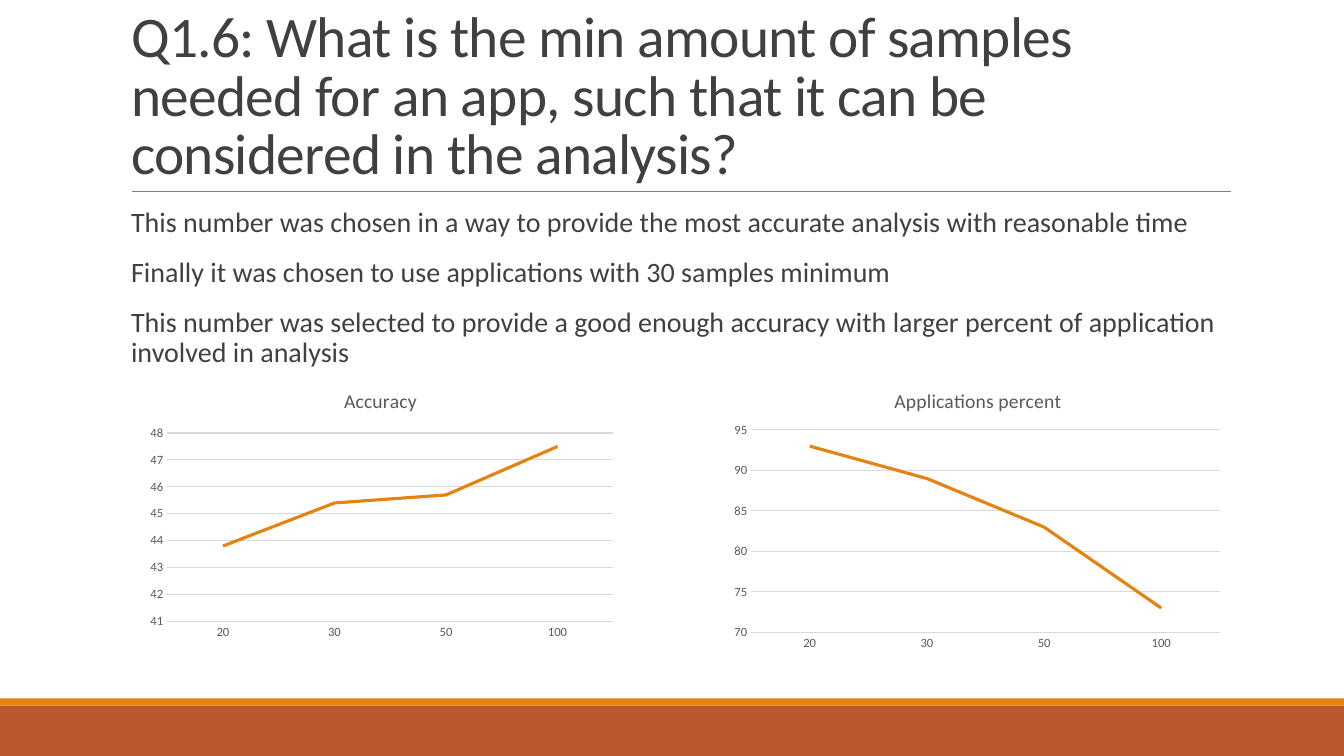
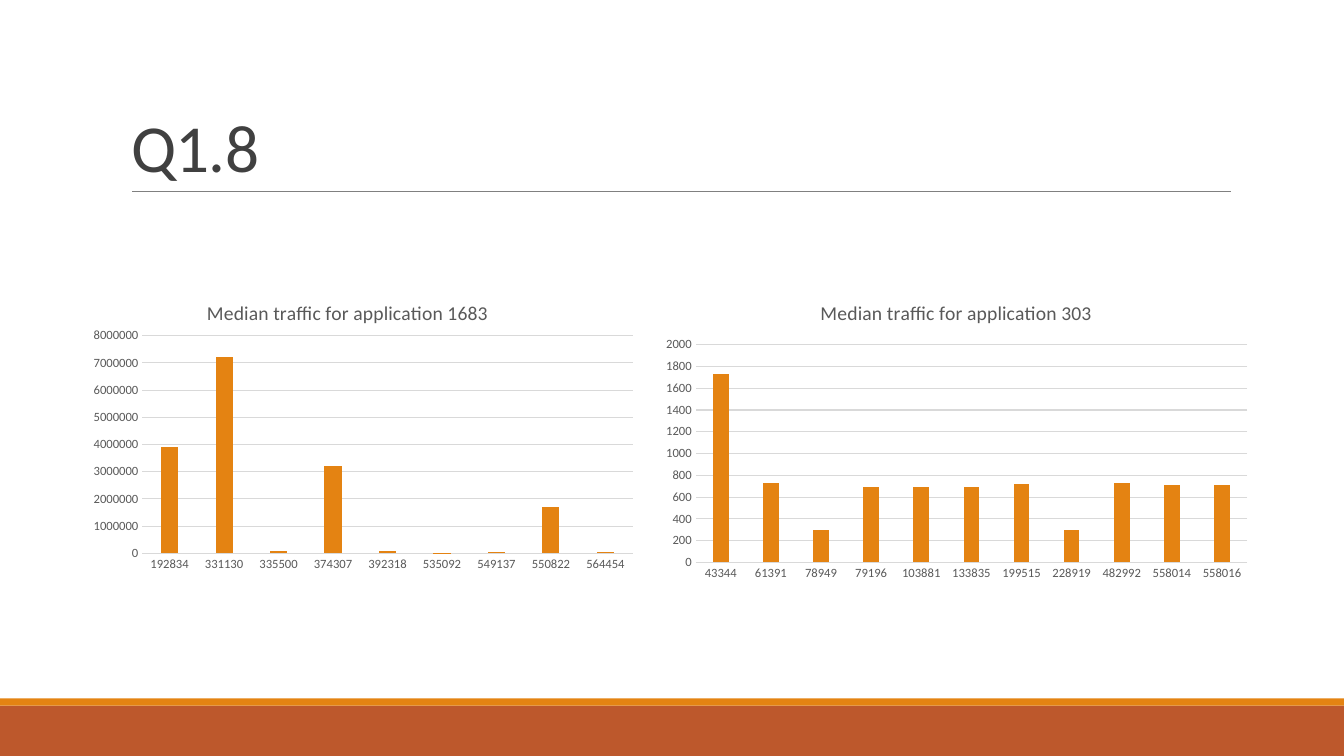
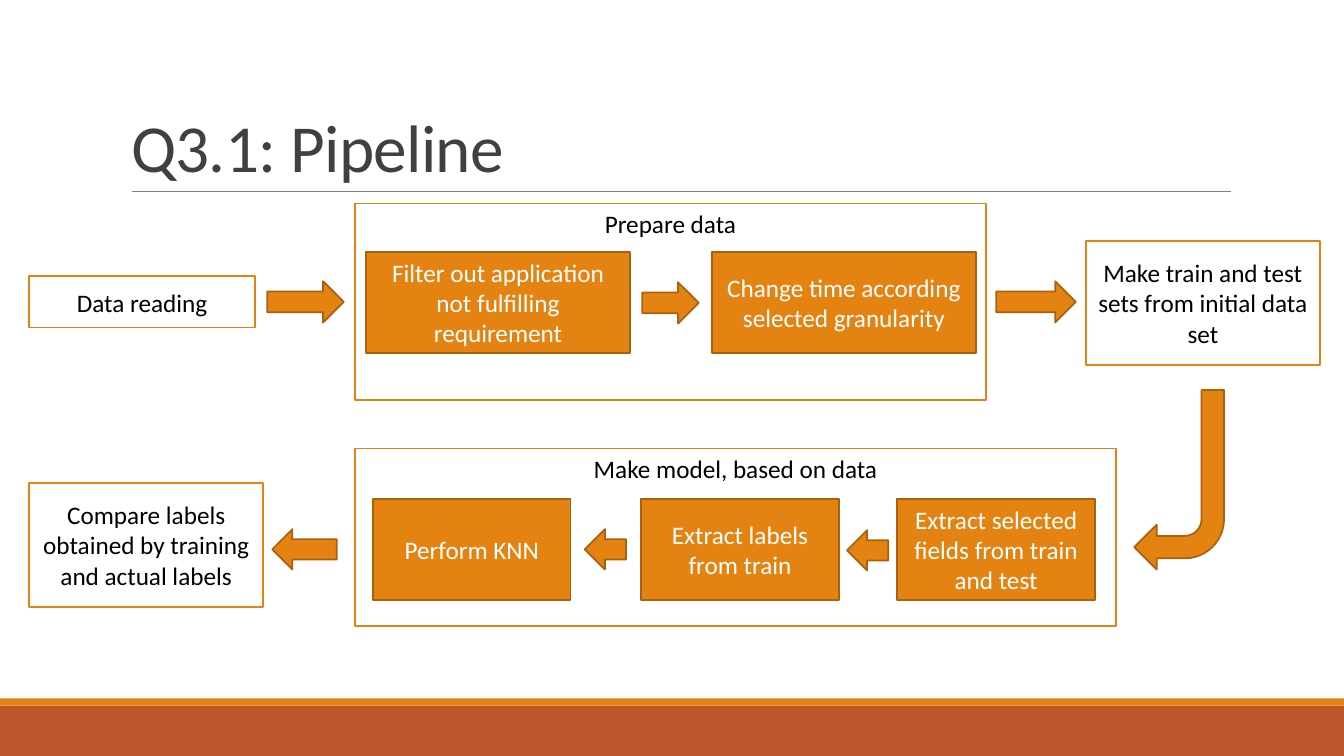
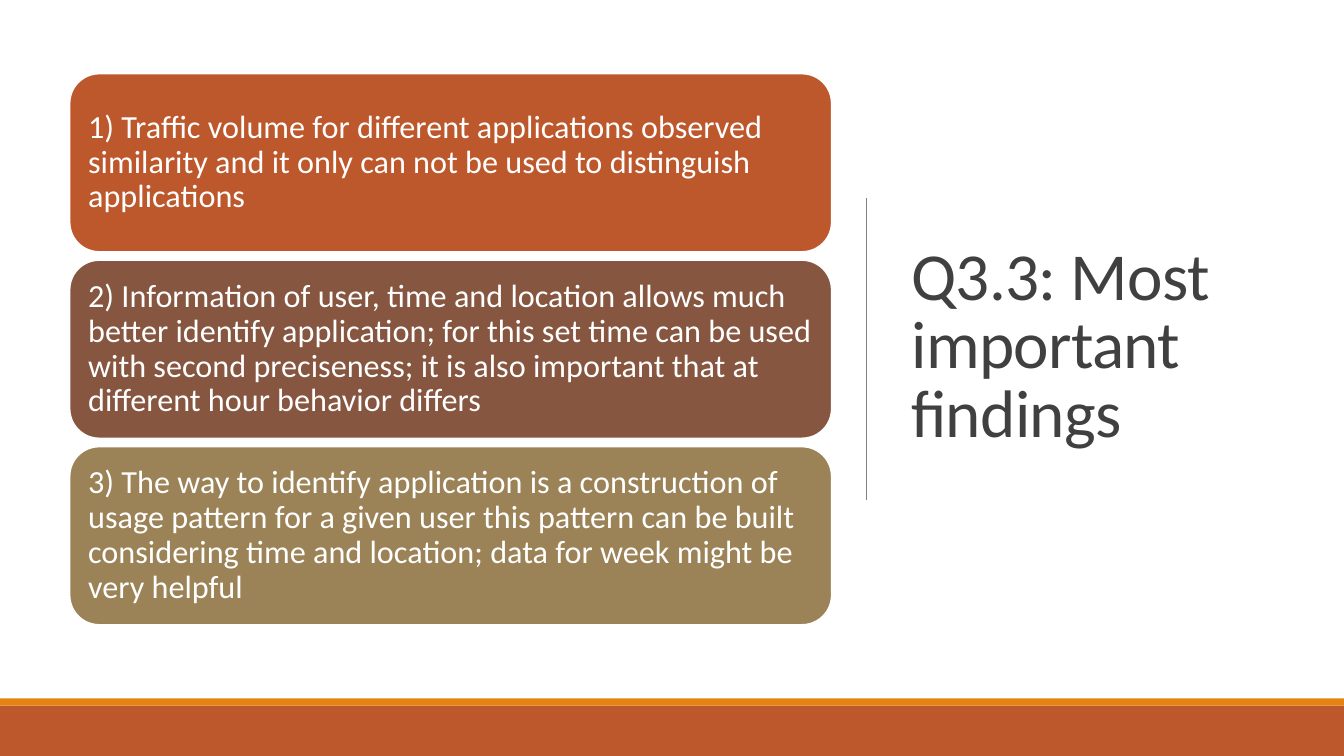
from dataclasses import dataclass

from pptx import Presentation
from pptx.chart.data import CategoryChartData
from pptx.dml.color import RGBColor
from pptx.enum.chart import XL_CHART_TYPE, XL_TICK_MARK
from pptx.enum.shapes import MSO_CONNECTOR, MSO_SHAPE
from pptx.enum.text import MSO_ANCHOR, MSO_AUTO_SIZE, PP_ALIGN
from pptx.oxml import parse_xml
from pptx.oxml.ns import nsdecls
from pptx.oxml.xmlchemy import OxmlElement
from pptx.presentation import Presentation as Deck
from pptx.shapes.autoshape import Shape
from pptx.slide import Slide
from pptx.text.text import Font
from pptx.util import Inches, Pt


@dataclass(frozen=True)
class Theme:
    font: str = "Calibri"
    orange: str = "E48312"
    dark_orange: str = "A9610D"
    rust: str = "BD582C"
    brown: str = "865640"
    olive: str = "9B8357"
    rule: str = "808080"
    ink: str = "404040"
    chart_ink: str = "595959"
    grid: str = "D9D9D9"
    white: str = "FFFFFF"
    black: str = "000000"
    title_size: float = 48
    long_title_size: float = 41
    finding_size: float = 23
    body_size: float = 20
    step_size: float = 18
    chart_title_size: float = 14
    axis_size: float = 9


THEME = Theme()
TITLE_ONLY, TITLE_AND_BODY = 5, 1


@dataclass(frozen=True)
class Area:
    """A rectangle in inches."""
    left: float
    top: float
    width: float
    height: float

    def lengths(self) -> tuple[Inches, Inches, Inches, Inches]:
        return Inches(self.left), Inches(self.top), Inches(self.width), Inches(self.height)


@dataclass(frozen=True)
class Look:
    fill: str
    line: str | None
    ink: str = THEME.white
    anchor: MSO_ANCHOR = MSO_ANCHOR.MIDDLE


STAGE = Look(THEME.white, THEME.orange, THEME.black)
GROUP = Look(THEME.white, THEME.orange, THEME.black, MSO_ANCHOR.TOP)
STEP = Look(THEME.orange, THEME.dark_orange)


@dataclass(frozen=True)
class PipelineBox:
    text: str
    area: Area
    look: Look


@dataclass(frozen=True)
class Arrow:
    kind: MSO_SHAPE
    area: Area
    rotation: float = 0


@dataclass(frozen=True)
class ChartSpec:
    """A one-series chart; plot holds fractions of the chart area."""
    title: str
    kind: XL_CHART_TYPE
    area: Area
    plot: Area
    points: dict[str, float]
    low: float
    high: float
    unit: float


HEADER_TITLE = Area(1.2, 0.31, 11, 1.59)
SIDE_TITLE = Area(8.94, 0.69, 3.69, 5.53)
BODY = Area(1.2, 2.02, 11, 4.4)

SAMPLE_NOTES = (
    "This number was chosen in a way to provide the most accurate analysis with reasonable time",
    "Finally it was chosen to use applications with 30 samples minimum",
    "This number was selected to provide a good enough accuracy with larger percent of "
    "application involved in analysis",
)

SAMPLE_CHARTS = (
    ChartSpec("Accuracy", XL_CHART_TYPE.LINE,
              Area(1.37, 3.7, 4.81, 2.71), Area(0.06, 0.22, 0.92, 0.69),
              {"20": 43.8, "30": 45.4, "50": 45.7, "100": 47.5}, 41, 48, 1),
    ChartSpec("Applications percent", XL_CHART_TYPE.LINE,
              Area(7.2, 3.7, 5, 2.83), Area(0.05, 0.2, 0.93, 0.71),
              {"20": 93, "30": 89, "50": 83, "100": 73}, 70, 95, 5),
)

TRAFFIC_CHARTS = (
    ChartSpec("Median traffic for application 1683", XL_CHART_TYPE.COLUMN_CLUSTERED,
              Area(0.62, 2.82, 5.66, 3), Area(0.14, 0.17, 0.86, 0.72),
              {"192834": 3900000, "331130": 7200000, "335500": 80000, "374307": 3200000,
               "392318": 80000, "535092": 10000, "549137": 50000, "550822": 1700000,
               "564454": 50000}, 0, 8000000, 1000000),
    ChartSpec("Median traffic for application 303", XL_CHART_TYPE.COLUMN_CLUSTERED,
              Area(6.48, 2.82, 6.01, 3), Area(0.07, 0.2, 0.91, 0.72),
              {"43344": 1730, "61391": 730, "78949": 300, "79196": 690, "103881": 690,
               "133835": 690, "199515": 720, "228919": 300, "482992": 730,
               "558014": 710, "558016": 710}, 0, 2000, 200),
)

PIPELINE = (
    PipelineBox("Data reading", Area(0.29, 2.74, 2.24, 0.51), STAGE),
    PipelineBox("Prepare data", Area(3.52, 2.02, 6.26, 1.95), GROUP),
    PipelineBox("Filter out application not fulfilling requirement",
                Area(3.63, 2.5, 2.62, 1), STEP),
    PipelineBox("Change time according selected granularity",
                Area(7.06, 2.5, 2.62, 1), STEP),
    PipelineBox("Make train and test sets from initial data set",
                Area(10.77, 2.39, 2.32, 1.23), STAGE),
    PipelineBox("Make model, based on data", Area(3.52, 4.45, 7.55, 1.76), GROUP),
    PipelineBox("Extract selected fields from train and test",
                Area(8.9, 4.95, 1.96, 1), STEP),
    PipelineBox("Extract labels from train", Area(6.36, 4.95, 1.96, 1), STEP),
    PipelineBox("Perform KNN", Area(3.7, 4.95, 1.96, 1), STEP),
    PipelineBox("Compare labels obtained by training and actual labels",
                Area(0.29, 4.79, 2.32, 1.23), STAGE),
)

PIPELINE_ARROWS = (
    Arrow(MSO_SHAPE.RIGHT_ARROW, Area(2.65, 2.79, 0.76, 0.41)),
    Arrow(MSO_SHAPE.RIGHT_ARROW, Area(6.37, 2.8, 0.56, 0.41)),
    Arrow(MSO_SHAPE.RIGHT_ARROW, Area(9.88, 2.79, 0.79, 0.41)),
    Arrow(MSO_SHAPE.BENT_ARROW, Area(11.25, 3.87, 0.89, 1.78), 180),
    Arrow(MSO_SHAPE.LEFT_ARROW, Area(8.4, 5.26, 0.41, 0.4)),
    Arrow(MSO_SHAPE.LEFT_ARROW, Area(5.8, 5.25, 0.41, 0.4)),
    Arrow(MSO_SHAPE.LEFT_ARROW, Area(2.7, 5.25, 0.64, 0.4)),
)

FINDINGS = (
    (THEME.rust, "1) Traffic volume for different applications observed similarity and it only "
                 "can not be used to distinguish applications"),
    (THEME.brown, "2) Information of user, time and location allows much better identify "
                  "application; for this set time can be used with second preciseness; it is "
                  "also important that at different hour behavior differs"),
    (THEME.olive, "3) The way to identify application is a construction of usage pattern for a "
                  "given user this pattern can be built considering time and location; data for "
                  "week might be very helpful"),
)
FIRST_FINDING = Area(0.69, 0.73, 7.56, 1.77)
FINDING_GAP = 0.08


def rgb(color: str) -> RGBColor:
    return RGBColor.from_string(color)


def set_font(font: Font, size: float, color: str) -> None:
    font.name = THEME.font
    font.size = Pt(size)
    font.bold = False
    font.color.rgb = rgb(color)


def place(shape: Shape, area: Area) -> None:
    shape.left, shape.top, shape.width, shape.height = area.lengths()


def add_preset(slide: Slide, kind: MSO_SHAPE, area: Area, look: Look) -> Shape:
    shape = slide.shapes.add_shape(kind, *area.lengths())
    shape.shadow.inherit = False
    shape.fill.solid()
    shape.fill.fore_color.rgb = rgb(look.fill)
    if look.line:
        shape.line.color.rgb = rgb(look.line)
        shape.line.width = Pt(1.25)
    else:
        shape.line.fill.background()
    return shape


def write_in(shape: Shape, text: str, size: float, look: Look, align: PP_ALIGN) -> None:
    frame = shape.text_frame
    frame.word_wrap = True
    frame.vertical_anchor = look.anchor
    paragraph = frame.paragraphs[0]
    paragraph.alignment = align
    run = paragraph.add_run()
    run.text = text
    set_font(run.font, size, look.ink)


def add_rule(slide: Slide, left: float, top: float, right: float, bottom: float) -> None:
    rule = slide.shapes.add_connector(MSO_CONNECTOR.STRAIGHT, Inches(left), Inches(top),
                                      Inches(right), Inches(bottom))
    rule.line.color.rgb = rgb(THEME.rule)
    rule.line.width = Pt(0.5)
    rule._element.spPr.append(OxmlElement("a:effectLst"))


def set_title(slide: Slide, text: str, area: Area, size: float, anchor: MSO_ANCHOR) -> None:
    title = slide.shapes.title
    place(title, area)
    write_in(title, text, size, Look(THEME.white, None, THEME.ink, anchor), PP_ALIGN.LEFT)
    title.text_frame.auto_size = MSO_AUTO_SIZE.NONE
    paragraph = title.text_frame.paragraphs[0]
    paragraph.line_spacing = 0.85
    paragraph.runs[0].font._element.set("spc", "-50")


def new_slide(deck: Deck, layout: int) -> Slide:
    """Add a slide with the two bands along its foot."""
    slide = deck.slides.add_slide(deck.slide_layouts[layout])
    for area, color in ((Area(0, 7, 13.33, 0.5), THEME.rust),
                        (Area(0, 6.93, 13.33, 0.07), THEME.orange)):
        add_preset(slide, MSO_SHAPE.RECTANGLE, area, Look(color, None))
    return slide


def headed_slide(deck: Deck, title: str, layout: int = TITLE_ONLY,
                 size: float = THEME.title_size) -> Slide:
    """Add a slide with its title above a horizontal rule."""
    slide = new_slide(deck, layout)
    add_rule(slide, 1.31, 1.9, 12.21, 1.9)
    set_title(slide, title, HEADER_TITLE, size, MSO_ANCHOR.BOTTOM)
    return slide


def fill_body(slide: Slide, lines: tuple[str, ...]) -> None:
    body = slide.placeholders[1]
    place(body, BODY)
    frame = body.text_frame
    frame.auto_size = MSO_AUTO_SIZE.NONE
    frame.margin_left = frame.margin_right = 0
    for index, line in enumerate(lines):
        paragraph = frame.add_paragraph() if index else frame.paragraphs[0]
        properties = paragraph._p.get_or_add_pPr()
        properties.set("marL", str(Inches(0.1)))
        properties.set("indent", "0")
        properties.append(OxmlElement("a:buNone"))
        paragraph.line_spacing = 0.9
        paragraph.space_before = Pt(12 if index else 0)
        paragraph.space_after = Pt(2)
        run = paragraph.add_run()
        run.text = line
        set_font(run.font, THEME.body_size, THEME.ink)


def add_chart(slide: Slide, spec: ChartSpec) -> None:
    data = CategoryChartData()
    data.categories = list(spec.points)
    data.add_series(spec.title, list(spec.points.values()))
    chart = slide.shapes.add_chart(spec.kind, *spec.area.lengths(), data).chart
    set_font(chart.font, THEME.axis_size, THEME.chart_ink)
    chart.has_legend = False
    chart.has_title = True
    chart.chart_title.include_in_layout = False
    run = chart.chart_title.text_frame.paragraphs[0].add_run()
    run.text = spec.title
    set_font(run.font, THEME.chart_title_size, THEME.chart_ink)

    for axis in (chart.category_axis, chart.value_axis):
        axis.major_tick_mark = axis.minor_tick_mark = XL_TICK_MARK.NONE
        set_font(axis.tick_labels.font, THEME.axis_size, THEME.chart_ink)
    values = chart.value_axis
    values.minimum_scale, values.maximum_scale = spec.low, spec.high
    values.major_unit = spec.unit
    values.format.line.fill.background()
    for line in (chart.category_axis.format.line, values.major_gridlines.format.line):
        line.color.rgb = rgb(THEME.grid)
        line.width = Pt(0.75)

    plot = chart.plots[0]
    plot.vary_by_categories = False
    series = plot.series[0]
    if spec.kind == XL_CHART_TYPE.LINE:
        series.smooth = False
        series.format.line.color.rgb = rgb(THEME.orange)
        series.format.line.width = Pt(2.25)
    else:
        plot.gap_width, plot.overlap = 219, -27
        series.format.fill.solid()
        series.format.fill.fore_color.rgb = rgb(THEME.orange)
    place_plot(chart._chartSpace.xpath(".//c:plotArea")[0], spec.plot)


def place_plot(plot_area, area: Area) -> None:
    """Fix the inner plot area within its chart."""
    for automatic in plot_area.xpath("./c:layout"):
        plot_area.remove(automatic)
    plot_area.insert(0, parse_xml(
        f'<c:layout {nsdecls("c")}><c:manualLayout><c:layoutTarget val="inner"/>'
        '<c:xMode val="edge"/><c:yMode val="edge"/>'
        f'<c:x val="{area.left}"/><c:y val="{area.top}"/>'
        f'<c:w val="{area.width}"/><c:h val="{area.height}"/>'
        '</c:manualLayout></c:layout>'))


def samples_slide(deck: Deck) -> None:
    slide = headed_slide(deck, "Q1.6: What is the min amount of samples needed for an app, "
                               "such that it can be considered in the analysis?",
                         TITLE_AND_BODY, THEME.long_title_size)
    fill_body(slide, SAMPLE_NOTES)
    for spec in SAMPLE_CHARTS:
        add_chart(slide, spec)


def traffic_slide(deck: Deck) -> None:
    slide = headed_slide(deck, "Q1.8")
    for spec in TRAFFIC_CHARTS:
        add_chart(slide, spec)


def pipeline_slide(deck: Deck) -> None:
    slide = headed_slide(deck, "Q3.1: Pipeline")
    for box in PIPELINE:
        shape = add_preset(slide, MSO_SHAPE.RECTANGLE, box.area, box.look)
        write_in(shape, box.text, THEME.step_size, box.look, PP_ALIGN.CENTER)
    for arrow in PIPELINE_ARROWS:
        add_preset(slide, arrow.kind, arrow.area, STEP).rotation = arrow.rotation


def findings_slide(deck: Deck) -> None:
    slide = new_slide(deck, TITLE_ONLY)
    add_rule(slide, 8.59, 1.96, 8.59, 4.96)
    set_title(slide, "Q3.3: Most important findings", SIDE_TITLE, THEME.title_size,
              MSO_ANCHOR.MIDDLE)
    first = FIRST_FINDING
    for index, (color, finding) in enumerate(FINDINGS):
        top = first.top + index * (first.height + FINDING_GAP)
        look = Look(color, THEME.white)
        card = add_preset(slide, MSO_SHAPE.ROUNDED_RECTANGLE,
                          Area(first.left, top, first.width, first.height), look)
        write_in(card, finding, THEME.finding_size, look, PP_ALIGN.LEFT)
        frame = card.text_frame
        frame.margin_top = frame.margin_bottom = Inches(0.1)
        frame.paragraphs[0].line_spacing = 0.9


def main() -> None:
    deck = Presentation()
    deck.slide_width, deck.slide_height = Inches(13.33), Inches(7.5)
    samples_slide(deck)
    traffic_slide(deck)
    pipeline_slide(deck)
    findings_slide(deck)
    deck.save("out.pptx")


if __name__ == "__main__":
    main()
